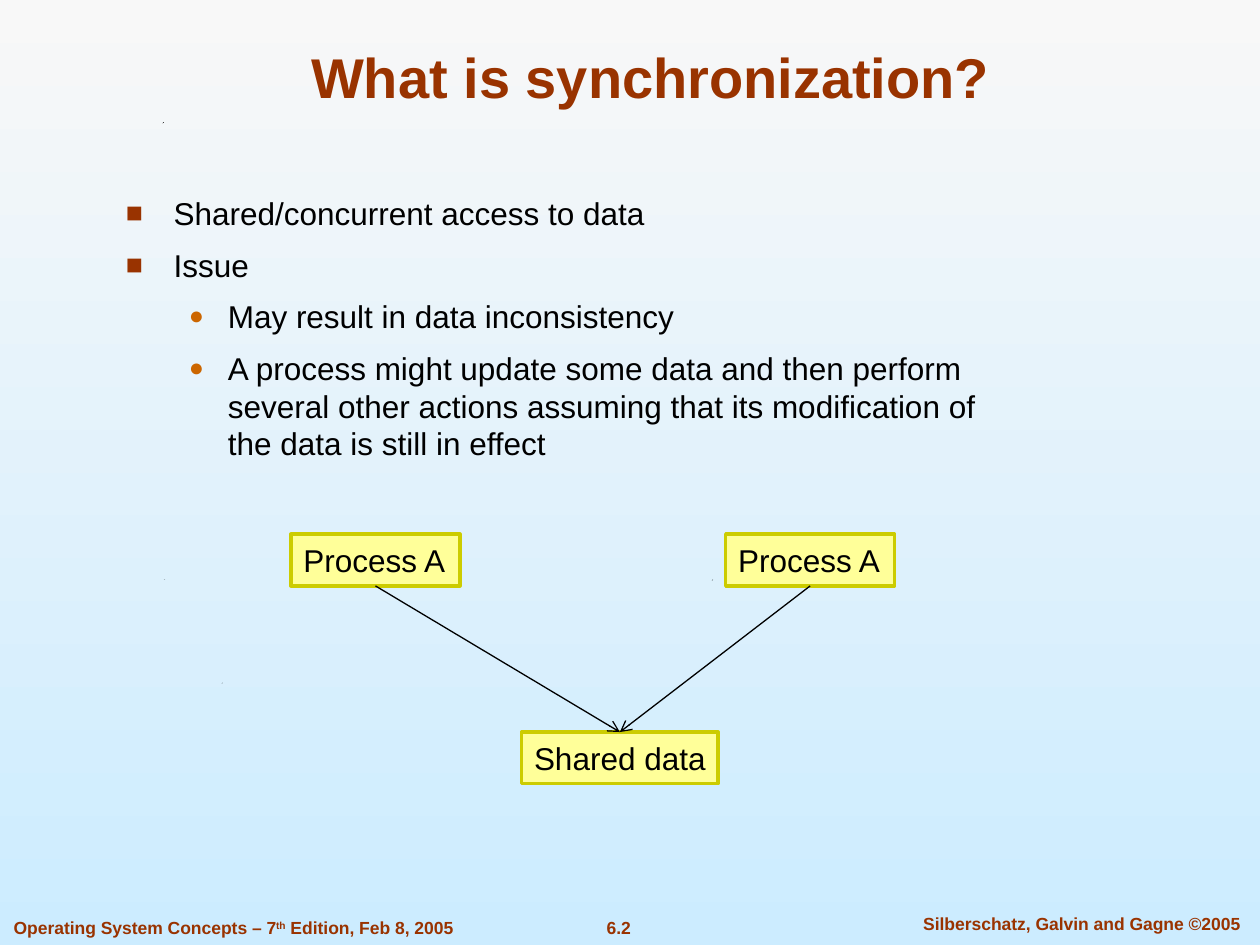
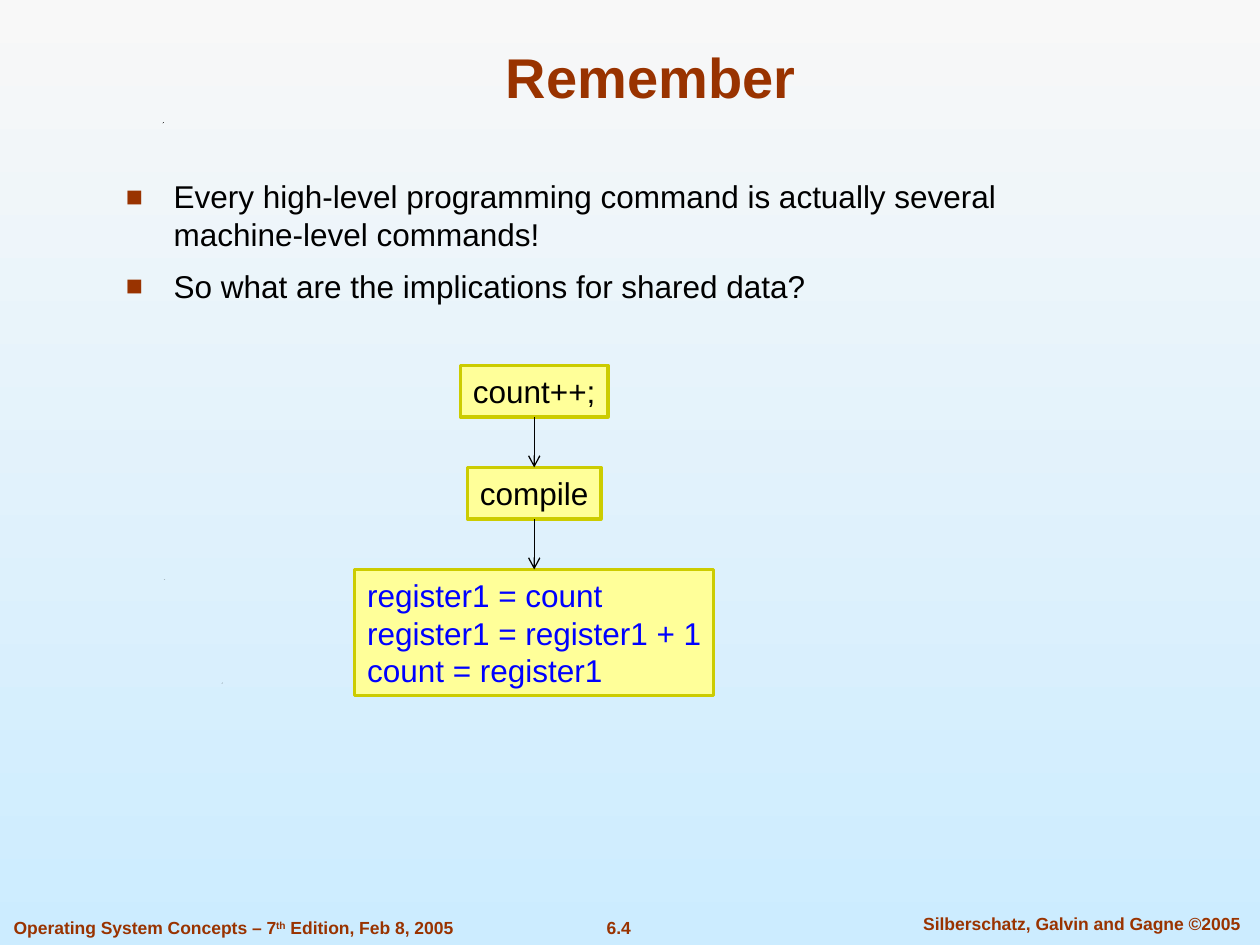
from lxml.etree import SubElement
from pptx import Presentation
from pptx.dml.color import RGBColor
from pptx.enum.shapes import MSO_CONNECTOR, MSO_SHAPE
from pptx.enum.text import MSO_ANCHOR, PP_ALIGN
from pptx.oxml.ns import qn
from pptx.util import Inches, Pt

FONT = "Arial"
COLORS = {
    "sky_top": "F8F8F8", "sky_bottom": "CCECFF", "heading": "993300",
    "sub_bullet": "CC6600", "text": "000000", "code": "0000FF",
    "box": "FFFF99", "border": "CCCC00",
}
LEVELS = [
    {"mark": "■", "color": "heading", "percent": 90, "margin": 0.38, "hang": 0.38},
    {"mark": "●", "color": "sub_bullet", "percent": 80, "margin": 0.81, "hang": 0.31},
]
EDITION = [("Operating System Concepts – 7", False), ("th", True), (" Edition, Feb 8, 2005", False)]
CREDIT = [("Silberschatz, Galvin and Gagne ©2005", False)]
SPECKS = [(1.76, 5.42, 4), (1.3, 4.6, 2), (5.65, 4.6, 10), (1.29, 0.97, 10)]
BOX_HEIGHT = 0.41
CHAIN_TOP, CHAIN_GAP, CHAIN_CENTER = 2.9, 0.4, 4.24

SLIDES = [
    {
        "number": "6.2",
        "title": "What is synchronization?",
        "body": (0.9, 1.49, 6.98, 5.32),
        "bullets": [
            (0, "Shared/concurrent access to data"),
            (0, "Issue"),
            (1, "May result in data inconsistency"),
            (1, "A process might update some data and then perform several other "
                "actions assuming that its modification of the data is still in effect"),
        ],
        "boxes": [
            {"lines": ["Shared data"], "center": 4.92, "top": 5.81, "width": 1.56},
            {"lines": ["Process A"], "center": 2.98, "top": 4.24, "width": 1.34},
            {"lines": ["Process A"], "center": 6.43, "top": 4.24, "width": 1.34},
        ],
        "arrows": [(1, 0), (2, 0)],
    },
    {
        "number": "6.4",
        "title": "Remember",
        "body": (0.9, 1.36, 8.04, 4.9),
        "bullets": [
            (0, "Every high-level programming command is actually several machine-level commands!"),
            (0, "So what are the implications for shared data?"),
        ],
        "boxes": [
            {"lines": ["count++;"], "width": 1.17},
            {"lines": ["compile"], "width": 1.06},
            {"lines": ["register1 = count", "register1 = register1 + 1", "count = register1"],
             "width": 2.85, "height": 1.0, "color": "code"},
        ],
        "arrows": [(0, 1), (1, 2)],
    },
]


def rgb(name):
    return RGBColor.from_string(COLORS[name])


def add_run(paragraph, text, size, color, bold=False):
    run = paragraph.add_run()
    run.text = text
    run.font.name, run.font.size, run.font.bold = FONT, Pt(size), bold
    run.font.color.rgb = rgb(color)
    return run


def add_text_frame(slide, place, wrap=True):
    frame = slide.shapes.add_textbox(*map(Inches, place)).text_frame
    frame.word_wrap = wrap
    return frame


def add_footer(slide, place, runs, align=PP_ALIGN.LEFT, wrap=False):
    paragraph = add_text_frame(slide, place, wrap).paragraphs[0]
    paragraph.alignment = align
    for text, raised in runs:
        run = add_run(paragraph, text, 10, "heading", True)
        if raised:
            run.font._element.set("baseline", "30000")


def add_speck(slide, left, top, height):
    builder = slide.shapes.build_freeform(0, height, scale=Inches(0.01) / 10)
    builder.add_line_segments([(5, 0), (10, 0)], close=True)
    speck = builder.convert_to_shape(Inches(left), Inches(top))
    speck.shadow.inherit = False
    speck.fill.solid()
    speck.fill.fore_color.rgb = rgb("text")
    speck.line.fill.background()


def add_frame(slide, number, title):
    fill = slide.background.fill
    fill.gradient()
    fill.gradient_angle = 270
    for stop, position, color in zip(fill.gradient_stops, (0, 1), ("sky_top", "sky_bottom")):
        stop.position = position
        stop.color.rgb = rgb(color)
    for speck in SPECKS:
        add_speck(slide, *speck)
    add_footer(slide, (4.42, 7.23, 0.98, 0.27), [(number, False)], PP_ALIGN.CENTER)
    add_footer(slide, (7.1, 7.2, 2.97, 0.27), CREDIT, PP_ALIGN.CENTER, True)
    add_footer(slide, (0.01, 7.23, 3.69, 0.27), EDITION)
    heading = add_text_frame(slide, (0.75, 0.25, 8.83, 0.67))
    heading.vertical_anchor = MSO_ANCHOR.BOTTOM
    heading.paragraphs[0].alignment = PP_ALIGN.CENTER
    add_run(heading.paragraphs[0], title, 32, "heading", True)


def set_bullet(paragraph, level):
    style = LEVELS[level]
    properties = paragraph._p.get_or_add_pPr()
    properties.set("marL", str(Inches(style["margin"])))
    properties.set("indent", str(-Inches(style["hang"])))
    color = SubElement(properties, qn("a:buClr"))
    SubElement(color, qn("a:srgbClr"), val=COLORS[style["color"]])
    SubElement(properties, qn("a:buSzPct"), val=str(style["percent"] * 1000))
    SubElement(properties, qn("a:buFont"), typeface=FONT)
    SubElement(properties, qn("a:buChar"), char=style["mark"])
    paragraph.level = level


def add_bullets(slide, place, bullets):
    frame = add_text_frame(slide, place)
    for index, (level, text) in enumerate(bullets):
        paragraph = frame.add_paragraph() if index else frame.paragraphs[0]
        set_bullet(paragraph, level)
        paragraph.space_before = Pt(7.9 if index else 0)
        add_run(paragraph, text, 18, "text")


def add_box(slide, lines, center, top, width, height=BOX_HEIGHT, color="text"):
    place = (center - width / 2, top, width, height)
    box = slide.shapes.add_shape(MSO_SHAPE.RECTANGLE, *map(Inches, place))
    box.shadow.inherit = False
    box.fill.solid()
    box.fill.fore_color.rgb = rgb("box")
    box.line.color.rgb = rgb("border")
    box.line.width = Pt(2)
    box.text_frame.word_wrap = False
    paragraph = box.text_frame.paragraphs[0]
    paragraph.alignment = PP_ALIGN.LEFT
    for index, line in enumerate(lines):
        if index:
            paragraph.add_line_break()
        add_run(paragraph, line, 18, color)
    return box


def add_arrow(slide, source, target):
    arrow = slide.shapes.add_connector(MSO_CONNECTOR.STRAIGHT, 0, 0, 0, 0)
    arrow.begin_connect(source, 2)
    arrow.end_connect(target, 0)
    arrow.line.color.rgb = rgb("text")
    arrow.line.width = Pt(0.75)
    SubElement(arrow.line._get_or_add_ln(), qn("a:tailEnd"), type="arrow")
    SubElement(arrow._element.spPr, qn("a:effectLst"))


def add_diagram(slide, boxes, arrows):
    shapes = []
    top = CHAIN_TOP
    for box in boxes:
        shapes.append(add_box(slide, **{"center": CHAIN_CENTER, "top": top, **box}))
        top += box.get("height", BOX_HEIGHT) + CHAIN_GAP
    for source, target in arrows:
        add_arrow(slide, shapes[source], shapes[target])


def main():
    """Build the synchronization slides and save them."""
    presentation = Presentation()
    presentation.slide_width, presentation.slide_height = Inches(10), Inches(7.5)
    for content in SLIDES:
        slide = presentation.slides.add_slide(presentation.slide_layouts[6])
        add_frame(slide, content["number"], content["title"])
        add_bullets(slide, content["body"], content["bullets"])
        add_diagram(slide, content["boxes"], content["arrows"])
    presentation.save("out.pptx")


if __name__ == "__main__":
    main()
